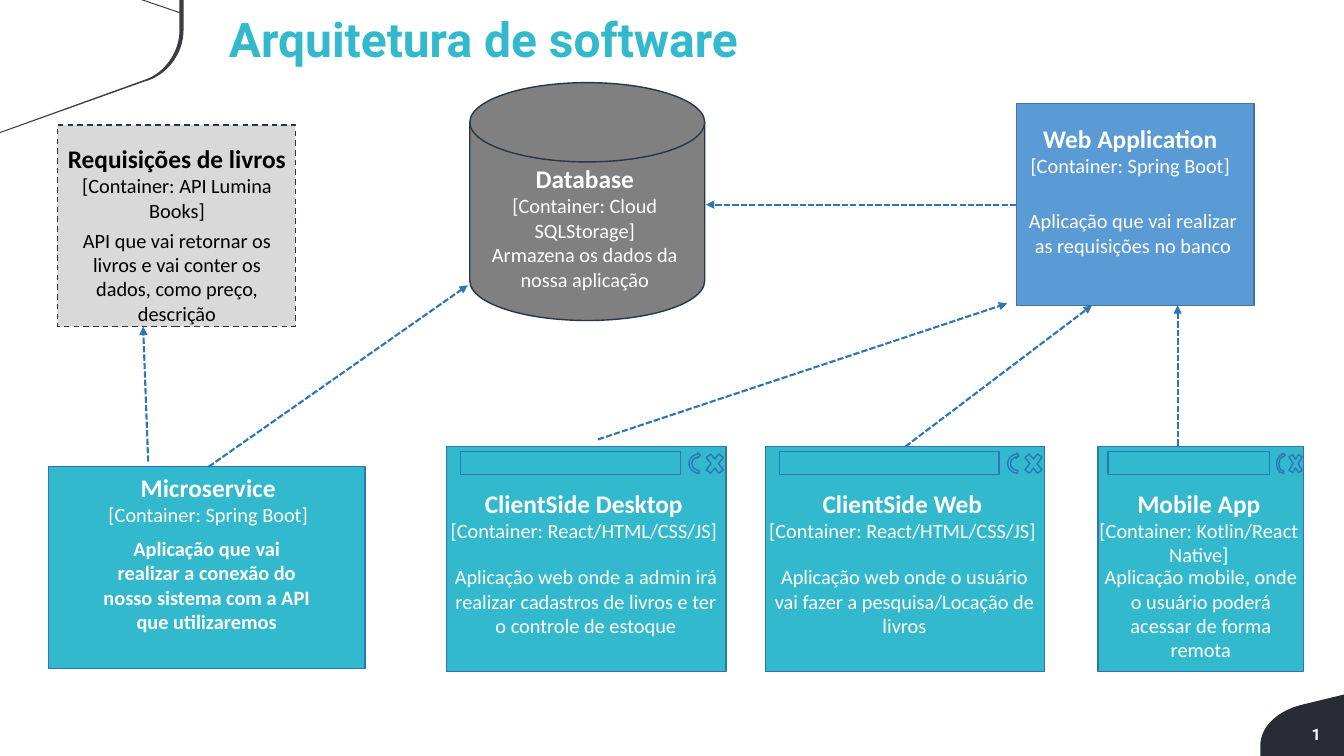
from lxml.etree import SubElement
from pptx import Presentation
from pptx.dml.color import RGBColor
from pptx.enum.dml import MSO_LINE
from pptx.enum.shapes import MSO_CONNECTOR, MSO_SHAPE
from pptx.enum.text import MSO_ANCHOR, MSO_AUTO_SIZE, PP_ALIGN
from pptx.oxml.ns import qn
from pptx.util import Inches, Pt

TEAL, BLUE, EDGE = "32B9CD", "2E75B6", "253746"
WHITE, BLACK = "FFFFFF", "000000"
HEAD = {"size": Pt(18.1), "name": "Calibri", "bold": True}
BODY = {"size": Pt(14.5), "name": "Calibri", "bold": False}
STRONG = {**BODY, "bold": True}
TITLE = {"size": Pt(34.2), "name": "Roboto", "bold": True}
PAGE = {"size": Pt(11.4), "name": "Roboto", "bold": True}


def shade(code):
    return RGBColor.from_string(code)


def apply(item, values):
    for key, value in values.items():
        setattr(item, key, value)


def curve(a, b, c, d, steps=24):
    """Points of a cubic curve from a to d."""
    points = []
    for step in range(steps + 1):
        t = step / steps
        u = 1 - t
        parts = (u ** 3, 3 * u * u * t, 3 * u * t * t, t ** 3)
        points.append(tuple(sum(k * p[axis] for k, p in zip(parts, (a, b, c, d)))
                            for axis in (0, 1)))
    return points


class Board:
    def __init__(self, slide):
        self.slide = slide
        self.shapes = slide.shapes

    def group(self):
        self.shapes = self.slide.shapes.add_group_shape().shapes

    def leave(self):
        self.shapes = self.slide.shapes

    def paint(self, shape, fill, line, dash=None):
        shape.shadow.inherit = False
        if fill:
            shape.fill.solid()
            shape.fill.fore_color.rgb = shade(fill)
        else:
            shape.fill.background()
        if line:
            shape.line.color.rgb = shade(line)
            apply(shape.line, {"width": Pt(1), "dash_style": dash})
        else:
            shape.line.fill.background()

    def shape(self, kind, at, fill=None, line=BLUE, dash=None, turn=0):
        shape = self.shapes.add_shape(kind, *map(Inches, at))
        shape.rotation = turn
        self.paint(shape, fill, line, dash)

    def form(self, points, fill):
        points = [(Inches(x), Inches(y)) for x, y in points]
        maker = self.shapes.build_freeform(*points[0], scale=1.0)
        maker.add_line_segments(points[1:], close=True)
        self.paint(maker.convert_to_shape(), fill, None)

    def letter(self, frame, lines, color, align):
        for index, (words, style) in enumerate(lines):
            para = frame.add_paragraph() if index else frame.paragraphs[0]
            para.alignment = align
            run = para.add_run()
            run.text = words
            apply(run.font, style)
            run.font.color.rgb = shade(color)

    def text(self, at, *lines, color=WHITE, align=PP_ALIGN.CENTER, frame=None):
        box = self.shapes.add_textbox(*map(Inches, at))
        apply(box.text_frame, {"word_wrap": True, **(frame or {})})
        self.letter(box.text_frame, lines, color, align)

    def title(self, at, words):
        title = self.slide.shapes.title
        apply(title, dict(zip(("left", "top", "width", "height"), map(Inches, at))))
        apply(title.text_frame, {"word_wrap": True, "auto_size": MSO_AUTO_SIZE.NONE,
                                 "vertical_anchor": MSO_ANCHOR.TOP})
        self.letter(title.text_frame, [(words, TITLE)], TEAL, PP_ALIGN.LEFT)
        title.text_frame.paragraphs[0].line_spacing = 0.9

    def arrow(self, start, end):
        link = self.shapes.add_connector(MSO_CONNECTOR.STRAIGHT,
                                         *map(Inches, start + end))
        link.line.color.rgb = shade(BLUE)
        apply(link.line, {"width": Pt(1.5), "dash_style": MSO_LINE.SQUARE_DOT})
        props = link._element.spPr
        SubElement(props.find(qn("a:ln")), qn("a:tailEnd"), type="triangle")
        SubElement(props, qn("a:effectLst"))

    def window(self, left, width, bar, cross, icon, head, body, lines):
        """Client window; bar, head and body are (offset, width) from its left."""
        self.group()
        self.shape(MSO_SHAPE.RECTANGLE, (left, 4.43, width, 2.23), TEAL)
        self.shape(MSO_SHAPE.RECTANGLE, (left + bar[0], 4.48, bar[1], 0.23))
        self.shape(MSO_SHAPE.MATH_MULTIPLY,
                   (left + width + 0.01 - cross, 4.45, cross, 0.3))
        tall = icon[1]
        self.shape(MSO_SHAPE.CIRCULAR_ARROW,
                   (left + icon[0], 4.6 - tall / 2, 0.22, tall), turn=275)
        name, tech, about = lines
        self.text((left + head[0], 4.79, head[1], 0.65), (name, HEAD), (tech, BODY))
        self.text((left + body[0], 5.55, body[1], 0.83), (about, BODY))
        self.leave()


def main():
    deck = Presentation()
    apply(deck, {"slide_width": Inches(13.33), "slide_height": Inches(7.5)})
    board = Board(deck.slides.add_slide(deck.slide_layouts[5]))

    # Corner ornaments, page number and title
    board.form([(13.33, 6.89)]
               + curve((12.92, 6.99), (12.67, 7.05), (12.5, 7.21), (12.5, 7.4))
               + [(12.5, 7.5), (13.33, 7.5)], "292C34")
    board.form([(0, 1.32)]
               + curve((1.43, 0.81), (1.66, 0.75), (1.82, 0.53), (1.82, 0.3))
               + [(1.82, 0), (1.78, 0), (1.78, 0.12), (1.43, 0), (1.4, 0), (1.78, 0.13)]
               + curve((1.78, 0.3), (1.78, 0.51), (1.64, 0.72), (1.44, 0.79))
               + [(0, 1.31)], "3B3D42")
    thin = {"margin_left": Inches(0.02), "margin_right": Inches(0.02),
            "margin_top": Inches(0.01), "margin_bottom": Inches(0.01)}
    board.text((12.5, 7.18, 0.62, 0.21), ("1", PAGE), align=PP_ALIGN.RIGHT, frame=thin)
    board.title((2.17, 0.11, 10.69, 0.76), "Arquitetura de software")

    # Database
    board.shape(MSO_SHAPE.FLOWCHART_MAGNETIC_DISK, (4.66, 0.82, 2.33, 2.36),
                "808080", EDGE)
    board.text((4.58, 1.57, 2.44, 1.38), ("Database", HEAD),
               ("[Container: Cloud SQLStorage]", BODY),
               ("Armazena os dados da nossa aplicação", BODY))

    # Web application
    board.group()
    board.shape(MSO_SHAPE.RECTANGLE, (10.08, 1.03, 2.36, 2), "5B9BD5", "43739E")
    board.text((9.96, 1.17, 2.5, 0.65), ("Web Application", HEAD),
               ("[Container: Spring Boot]", BODY))
    board.text((10.09, 2.02, 2.29, 0.59),
               ("Aplicação que vai realizar as requisições no banco", BODY))
    board.leave()

    # Client windows
    stack = "[Container: React/HTML/CSS/JS]"
    wide = (2.77, (0.14, 2.18), 0.24, (2.4, 0.24), (-0.08, 2.88), (-0.06, 2.88))
    slim = (2.04, (0.1, 1.6), 0.18, (1.74, 0.18), (-0.14, 2.28), (-0.04, 2.12))
    clients = [
        (7.59, wide, ("ClientSide Web", stack, "Aplicação web onde o usuário vai "
                      "fazer a pesquisa/Locação de livros")),
        (4.43, wide, ("ClientSide Desktop", stack, "Aplicação web onde a admin irá "
                      "realizar cadastros de livros e ter o controle de estoque")),
        (10.89, slim, ("Mobile App", "[Container: Kotlin/React Native]",
                       "Aplicação mobile, onde o usuário poderá acessar de forma remota")),
    ]
    for left, sizes, lines in clients:
        board.window(left, *sizes, lines)

    # Microservice
    board.shape(MSO_SHAPE.RECTANGLE, (0.48, 4.63, 3.14, 2), TEAL)
    board.text((0.92, 5.27, 2.26, 1.08),
               ("Aplicação que vai realizar a conexão do nosso sistema com a API "
                "que utilizaremos", STRONG))
    board.text((0.28, 4.63, 3.57, 0.65), ("Microservice", HEAD),
               ("[Container: Spring Boot]", BODY))

    # Book requests
    board.shape(MSO_SHAPE.RECTANGLE, (0.57, 1.24, 2.36, 2), "D9D9D9", EDGE,
                MSO_LINE.DASH)
    board.text((0.48, 1.37, 2.55, 0.89), ("Requisições de livros", HEAD),
               ("[Container: API Lumina Books]", BODY), color=BLACK)
    board.text((0.63, 2.21, 2.25, 1.08),
               ("API que vai retornar os livros e vai conter os dados, como preço, "
                "descrição", BODY), color=BLACK)

    # Links
    for start, end in [((10.08, 2.03), (7, 2.03)), ((5.93, 4.36), (9.99, 3.01)),
                       ((8.98, 4.43), (10.83, 3.03)), ((2.07, 4.63), (4.64, 2.83)),
                       ((1.47, 4.58), (1.42, 3.24)), ((11.68, 4.42), (11.68, 3.03))]:
        board.arrow(start, end)

    deck.save("out.pptx")


if __name__ == "__main__":
    main()
